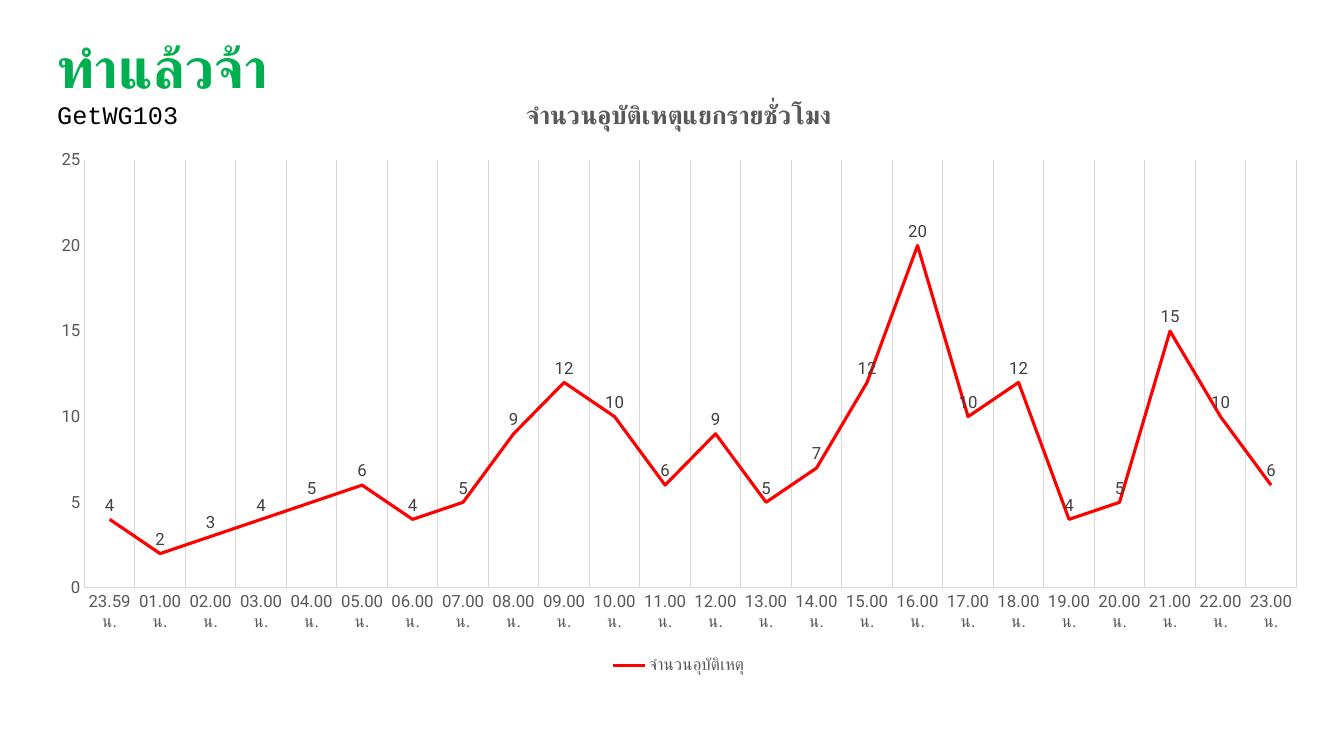
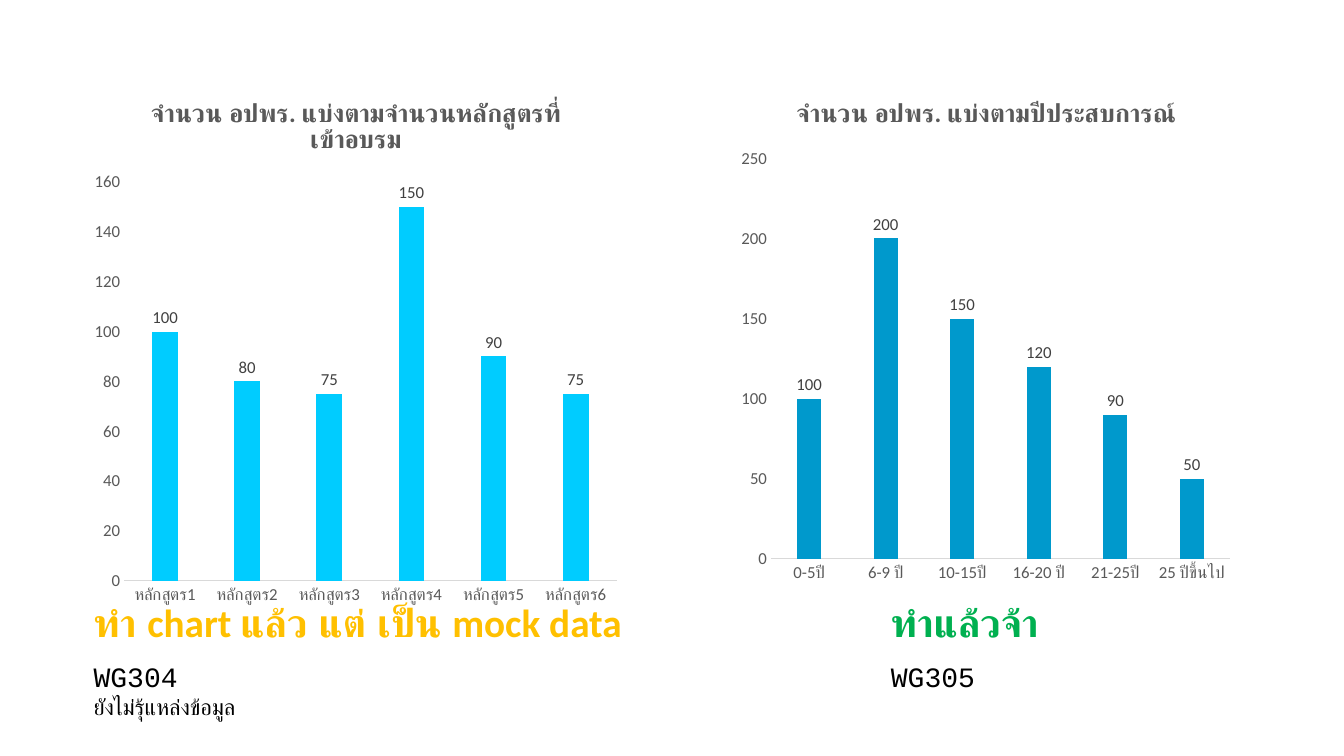
from collections import namedtuple
from dataclasses import dataclass

from lxml import etree
from pptx import Presentation
from pptx.chart.data import CategoryChartData
from pptx.dml.color import RGBColor
from pptx.enum.chart import (XL_CHART_TYPE, XL_LABEL_POSITION,
                             XL_LEGEND_POSITION, XL_MARKER_STYLE, XL_TICK_MARK)
from pptx.oxml.ns import qn
from pptx.util import Pt


@dataclass(frozen=True)
class Theme:
    # Colours
    done: str = "00B050"
    mock: str = "FFC000"
    text: str = "000000"
    axis_text: str = "595959"
    label_text: str = "404040"
    rule: str = "D9D9D9"
    accident_line: str = "FF0000"
    course_bars: str = "00CCFF"
    experience_bars: str = "0099CC"
    # Fonts
    body_font: str = "Calibri"
    code_font: str = "Courier New"
    line_font: str = "Roboto"
    # Type sizes
    headline: float = 40
    status: float = 28
    code: float = 20
    small_code: float = 18
    note: float = 16
    chart_title: float = 18
    chart_text: float = 12


THEME = Theme()
Box = namedtuple("Box", "left top width height")
Run = namedtuple("Run", "text size font color bold", defaults=(False,))


def style_font(font, size, name, color, bold=False):
    font.size = Pt(size)
    font.name = name
    font.bold = bold
    font.color.rgb = RGBColor.from_string(color)


def add_run(paragraph, run):
    text_run = paragraph.add_run()
    text_run.text = run.text
    style_font(text_run.font, run.size, run.font, run.color, run.bold)


def add_note(slide, box, paragraphs, code_gap=0):
    """Add a text box; code_gap is the space before the second paragraph."""
    frame = slide.shapes.add_textbox(*map(Pt, box)).text_frame
    frame.word_wrap = True
    for index, runs in enumerate(paragraphs):
        paragraph = frame.paragraphs[0] if index == 0 else frame.add_paragraph()
        if index == 1:
            paragraph.space_before = Pt(code_gap)
        for run in runs:
            add_run(paragraph, run)


def place_plot(chart, box, plot_box):
    """Fix the inner plot area, given in slide points."""
    plot_area = chart.plots[0]._element.getparent()
    for old_layout in plot_area.findall(qn("c:layout")):
        plot_area.remove(old_layout)
    layout = etree.Element(qn("c:layout"))
    plot_area.insert(0, layout)
    manual = etree.SubElement(layout, qn("c:manualLayout"))
    settings = {
        "layoutTarget": "inner", "xMode": "edge", "yMode": "edge",
        "x": (plot_box.left - box.left) / box.width,
        "y": (plot_box.top - box.top) / box.height,
        "w": plot_box.width / box.width,
        "h": plot_box.height / box.height,
    }
    for tag, value in settings.items():
        etree.SubElement(manual, qn(f"c:{tag}")).set("val", str(value))


def style_axes(chart, font_name, maximum, step):
    for axis in (chart.category_axis, chart.value_axis):
        axis.major_tick_mark = axis.minor_tick_mark = XL_TICK_MARK.NONE
        axis.has_major_gridlines = False
        style_font(axis.tick_labels.font, THEME.chart_text, font_name,
                   THEME.axis_text)
    draw_rule(chart.category_axis.format.line)
    value_axis = chart.value_axis
    value_axis.format.line.fill.background()
    value_axis.minimum_scale = 0
    value_axis.maximum_scale = maximum
    value_axis.major_unit = step


def draw_rule(line):
    line.color.rgb = RGBColor.from_string(THEME.rule)
    line.width = Pt(0.75)


def add_chart(slide, kind, box, plot_box, title, series_name, values, font_name,
              maximum, step, label_position):
    """Add a titled chart with one labelled series; values maps names to numbers."""
    data = CategoryChartData()
    data.categories = list(values)
    data.add_series(series_name, list(values.values()))
    chart = slide.shapes.add_chart(kind, *map(Pt, box), data).chart
    style_font(chart.font, THEME.chart_text, font_name, THEME.axis_text)
    chart.has_legend = False
    chart.has_title = True
    add_run(chart.chart_title.text_frame.paragraphs[0],
            Run(title, THEME.chart_title, font_name, THEME.axis_text, True))
    style_axes(chart, font_name, maximum, step)
    place_plot(chart, box, plot_box)

    plot = chart.plots[0]
    plot.vary_by_categories = False
    plot.has_data_labels = True
    plot.data_labels.show_value = True
    plot.data_labels.position = label_position
    style_font(plot.data_labels.font, THEME.chart_text, font_name,
               THEME.label_text)
    return chart


def add_line_chart(slide, box, plot_box, title, series_name, values, color,
                   maximum, step):
    chart = add_chart(slide, XL_CHART_TYPE.LINE, box, plot_box, title,
                      series_name, values, THEME.line_font, maximum, step,
                      XL_LABEL_POSITION.ABOVE)
    category_axis = chart.category_axis
    category_axis.has_major_gridlines = True
    draw_rule(category_axis.major_gridlines.format.line)
    series = chart.plots[0].series[0]
    series.smooth = False
    series.marker.style = XL_MARKER_STYLE.NONE
    series.format.line.color.rgb = RGBColor.from_string(color)
    series.format.line.width = Pt(2.25)
    chart.has_legend = True
    chart.legend.position = XL_LEGEND_POSITION.BOTTOM
    chart.legend.include_in_layout = False
    style_font(chart.legend.font, THEME.chart_text, THEME.line_font,
               THEME.axis_text)


def add_column_chart(slide, box, plot_box, title, values, color, maximum, step):
    chart = add_chart(slide, XL_CHART_TYPE.COLUMN_CLUSTERED, box, plot_box,
                      title, "Series 1", values, THEME.body_font, maximum, step,
                      XL_LABEL_POSITION.OUTSIDE_END)
    plot = chart.plots[0]
    plot.gap_width = 219
    plot.overlap = -27
    fill = plot.series[0].format.fill
    fill.solid()
    fill.fore_color.rgb = RGBColor.from_string(color)


def build_accident_slide(slide):
    # Accidents by hour
    hours = ["23.59 น."] + [f"{hour:02}.00 น." for hour in range(1, 24)]
    accidents = [4, 2, 3, 4, 5, 6, 4, 5, 9, 12, 10, 6,
                 9, 5, 7, 12, 20, 10, 12, 4, 5, 15, 10, 6]
    add_line_chart(slide, Box(25.2, 57, 919.4, 427),
                   Box(60.3, 114.3, 865.7, 305.7),
                   "จำนวนอุบัติเหตุแยกรายชั่วโมง", "จำนวนอุบัติเหตุ",
                   dict(zip(hours, accidents)), THEME.accident_line, 25, 5)
    # Status
    add_note(slide, Box(33.8, 19.4, 180, 77.8), [[
        Run("ทำแล้วจ้า ", THEME.headline, THEME.body_font, THEME.done, True),
        Run("GetWG103", THEME.small_code, THEME.code_font, THEME.text),
    ]])


def build_volunteer_slide(slide):
    # Volunteers by number of courses
    courses = {f"หลักสูตร{number}": count for number, count
               in enumerate([100, 80, 75, 150, 90, 75], start=1)}
    add_column_chart(slide, Box(59.8, 53.3, 388.8, 386.6),
                     Box(88.6, 130, 352, 285),
                     "จำนวน อปพร. แบ่งตามจำนวนหลักสูตรที่เข้าอบรม",
                     courses, THEME.course_bars, 160, 20)
    # Volunteers by years of experience
    experience = {"0-5ปี": 100, "6-9 ปี": 200, "10-15ปี": 150,
                  "16-20 ปี": 120, "21-25ปี": 90, "25 ปีขึ้นไป": 50}
    add_column_chart(slide, Box(522.7, 53.3, 363.6, 370.8),
                     Box(550.7, 113.2, 328, 286),
                     "จำนวน อปพร. แบ่งตามปีประสบการณ์",
                     experience, THEME.experience_bars, 250, 50)
    # Status of each chart
    notes = [
        (Box(59.8, 424, 449.3, 94.3), "ทำ chart แล้ว แต่ เป็น mock data",
         THEME.mock, "WG304", "ยังไม่รุ้แหล่งข้อมูล"),
        (Box(629.3, 424, 250.6, 75), "ทำแล้วจ้า", THEME.done, "WG305", None),
    ]
    for box, status, color, code, remark in notes:
        paragraphs = [
            [Run(status, THEME.status, THEME.body_font, color, True)],
            [Run(code, THEME.code, THEME.code_font, THEME.text)],
        ]
        if remark:
            paragraphs.append(
                [Run(remark, THEME.note, THEME.code_font, THEME.text)])
        add_note(slide, box, paragraphs, code_gap=10)


def main():
    presentation = Presentation()
    presentation.slide_width, presentation.slide_height = Pt(960), Pt(540)
    blank_layout = presentation.slide_layouts[6]
    for build in (build_accident_slide, build_volunteer_slide):
        build(presentation.slides.add_slide(blank_layout))
    presentation.save("out.pptx")


if __name__ == "__main__":
    main()
